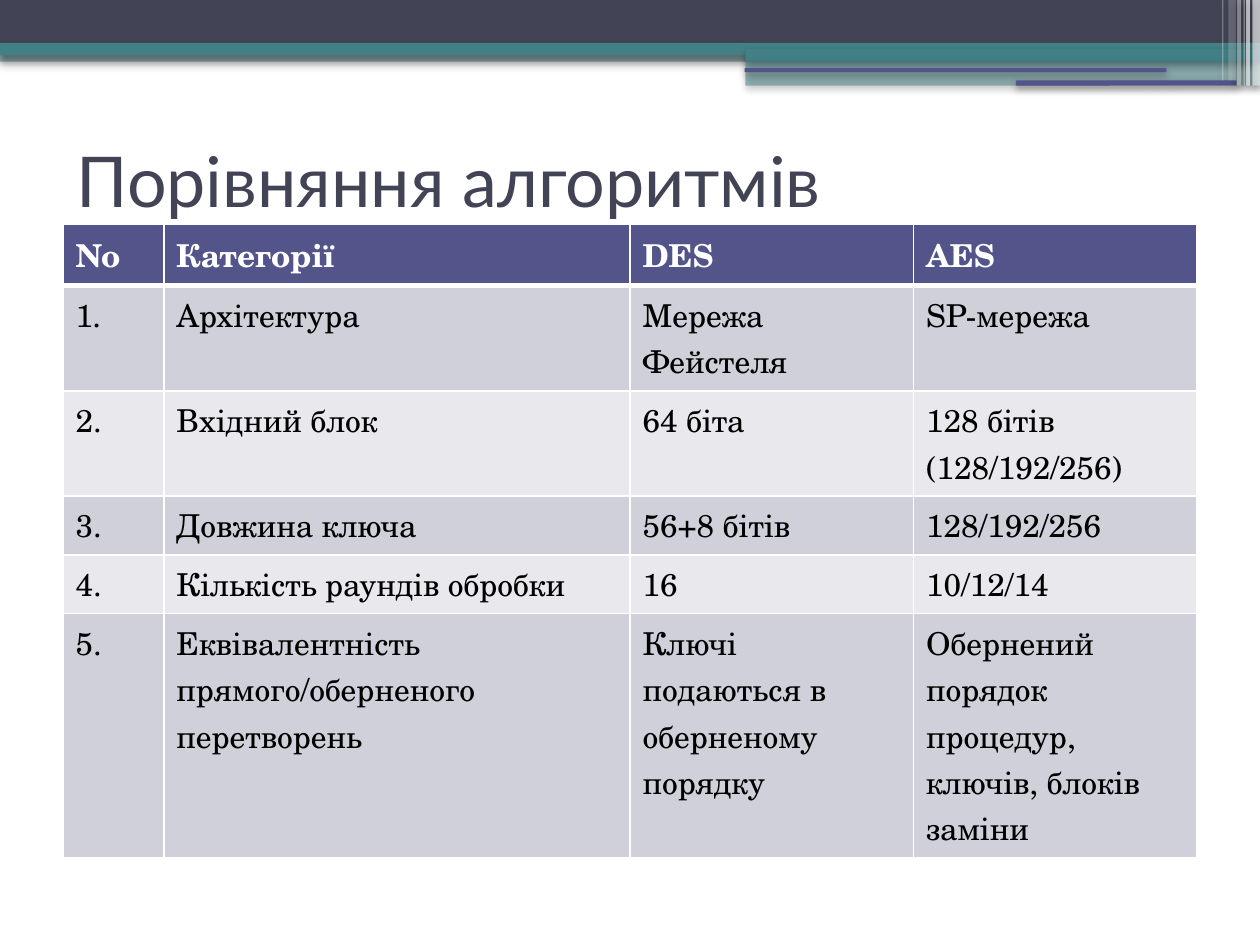
import pptx
import pptx.util
import pptx.dml.color
import pptx.enum.shapes
import pptx.enum.text
import pptx.oxml
import pptx.oxml.ns

Pt = pptx.util.Pt
RGBColor = pptx.dml.color.RGBColor
MSO_SHAPE = pptx.enum.shapes.MSO_SHAPE

SLATE = RGBColor(0x42, 0x44, 0x56)
TEAL = RGBColor(0x43, 0x80, 0x86)
INDIGO = RGBColor(0x53, 0x54, 0x8A)
WHITE = RGBColor(0xFF, 0xFF, 0xFF)
BLACK = RGBColor(0x00, 0x00, 0x00)
DARK_BAND = RGBColor(0xD0, 0xD0, 0xDA)
LIGHT_BAND = RGBColor(0xE9, 0xE9, 0xED)
NAMESPACE = pptx.oxml.ns.nsdecls("a")


def add_bar(left, top, width, height, color, opacity=100, kind=MSO_SHAPE.RECTANGLE):
    bar = slide.shapes.add_shape(kind, Pt(left), Pt(top), Pt(width), Pt(height))
    bar.fill.solid()
    bar.fill.fore_color.rgb = color
    bar.line.fill.background()
    bar.shadow.inherit = False
    properties = bar.element.spPr
    if opacity < 100:
        properties.find(".//" + pptx.oxml.ns.qn("a:srgbClr")).append(
            pptx.oxml.parse_xml(f'<a:alpha {NAMESPACE} val="{opacity * 1000}"/>'))
    properties.find(pptx.oxml.ns.qn("a:effectLst")).append(pptx.oxml.parse_xml(
        f'<a:outerShdw {NAMESPACE} blurRad="{Pt(4.1)}" dist="{Pt(2)}" dir="5400000" '
        'rotWithShape="0"><a:srgbClr val="000000"><a:alpha val="40000"/>'
        '</a:srgbClr></a:outerShdw>'))


def set_borders(cell, **widths):
    properties = cell._tc.get_or_add_tcPr()
    for position, (side, width) in enumerate(widths.items()):
        properties.insert(position, pptx.oxml.parse_xml(
            f'<a:ln{side} {NAMESPACE} w="{Pt(width)}"><a:solidFill>'
            f'<a:srgbClr val="{WHITE}"/></a:solidFill></a:ln{side}>'))


deck = pptx.Presentation()
deck.slide_width, deck.slide_height = Pt(720), Pt(540)
slide = deck.slides.add_slide(deck.slide_layouts[5])

add_bar(0, 28.8, 720, 6.5, TEAL, 50)
add_bar(0, 0, 720, 24.5, SLATE)
add_bar(0, 24.5, 720, 7.2, TEAL)
add_bar(426, 28, 294, 7.2, TEAL)
add_bar(426, 34.6, 294, 14.4, TEAL, 50)
add_bar(425.5, 39, 241, 2.2, INDIGO, kind=MSO_SHAPE.ROUNDED_RECTANGLE)
add_bar(580.5, 46, 126, 2.9, INDIGO, kind=MSO_SHAPE.ROUNDED_RECTANGLE)

for left, width, height, opacity in [
    (715.7, 4.3, 49, 66), (712.1, 2.2, 49, 66), (710.6, 0.72, 49, 60),
    (707, 2.2, 49, 40), (702, 4.3, 46, 20), (698.4, 0.72, 46, 31),
]:
    add_bar(left, 0, width, height, WHITE, opacity)

title = slide.shapes.title
title.left, title.top, title.width, title.height = Pt(36.7), Pt(60.5), Pt(648), Pt(84)
title.text_frame.text = "Порівняння алгоритмів"
title.text_frame.vertical_anchor = pptx.enum.text.MSO_ANCHOR.MIDDLE
heading = title.text_frame.paragraphs[0]
heading.alignment = pptx.enum.text.PP_ALIGN.LEFT
heading.font.name = "Lato"
heading.font.size = Pt(40)
heading.font.color.rgb = SLATE

comparison = [
    ("No", "Категорії", "DES", "AES"),
    ("1.", "Архітектура", "Мережа Фейстеля", "SP-мережа"),
    ("2.", "Вхідний блок", "64 біта", "128 бітів (128/192/256)"),
    ("3.", "Довжина ключа", "56+8 бітів", "128/192/256"),
    ("4.", "Кількість раундів обробки", "16", "10/12/14"),
    ("5.", "Еквівалентність прямого/оберненого перетворень",
     "Ключі подаються в оберненому порядку",
     "Обернений порядок процедур, ключів, блоків заміни"),
]
column_widths = [57.6, 266.4, 162, 162]
row_heights = [28, 48, 48, 28, 28, 110]
table = slide.shapes.add_table(
    len(comparison), len(column_widths), Pt(36), Pt(128.2),
    Pt(sum(column_widths)), Pt(sum(row_heights))).table
for column, width in zip(table.columns, column_widths):
    column.width = Pt(width)

for row_index, (texts, height) in enumerate(zip(comparison, row_heights)):
    table.rows[row_index].height = Pt(height)
    is_header = row_index == 0
    band = INDIGO if is_header else DARK_BAND if row_index % 2 else LIGHT_BAND
    for column_index, text in enumerate(texts):
        cell = table.cell(row_index, column_index)
        cell.text = text
        cell.fill.solid()
        cell.fill.fore_color.rgb = band
        set_borders(cell, L=0.96, R=0.96, T=3 if row_index == 1 else 0.96,
                    B=3 if is_header else 0.96)
        font = cell.text_frame.paragraphs[0].font
        font.name = "TeX Gyre Schola"
        font.size = Pt(18)
        font.bold = is_header
        font.color.rgb = WHITE if is_header else BLACK

deck.save("out.pptx")
